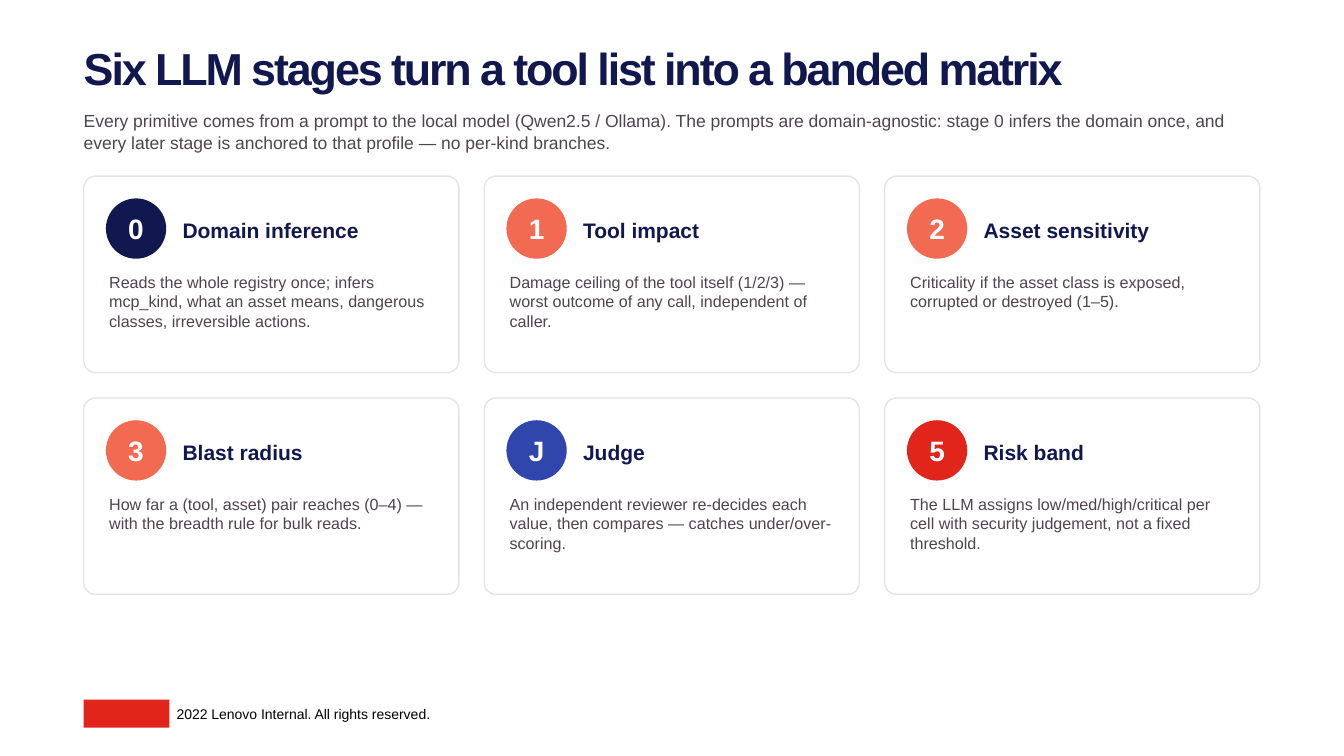
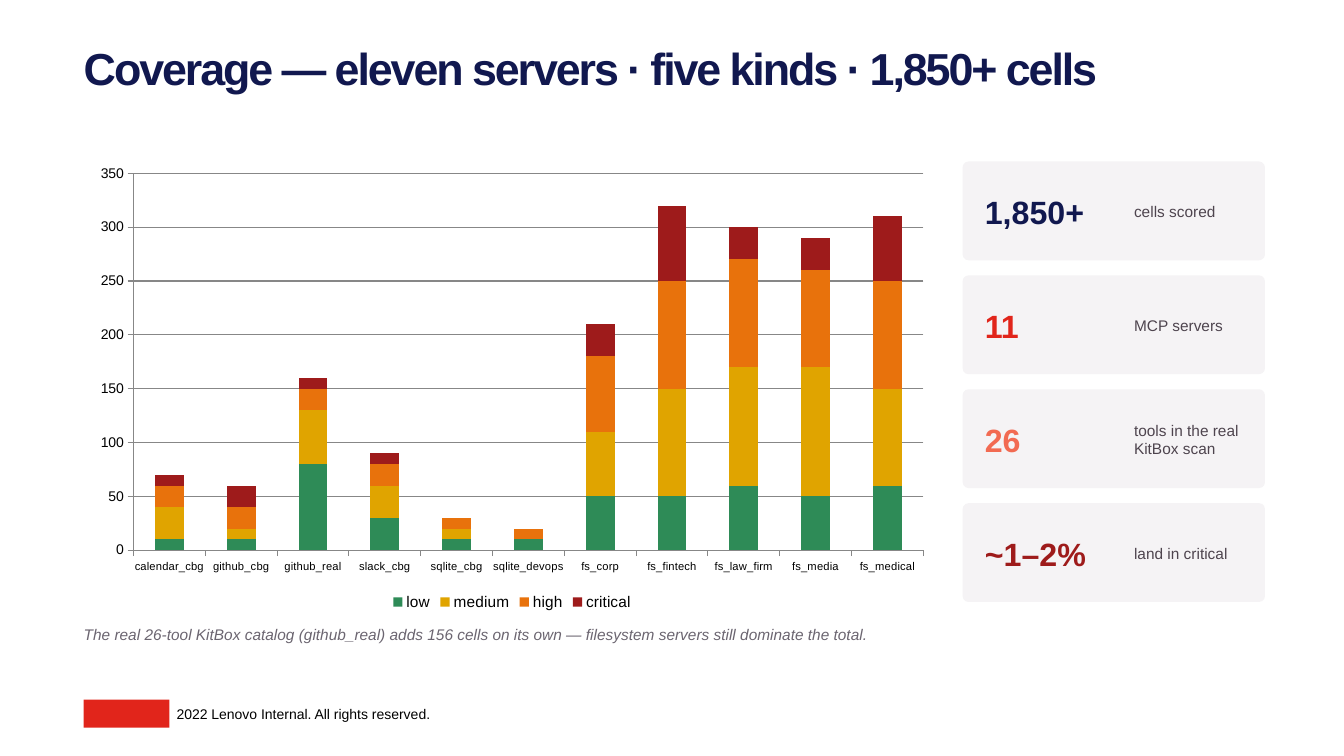
from pptx import Presentation
from pptx.chart.data import CategoryChartData as ChartData
from pptx.dml.color import RGBColor
from pptx.enum.chart import XL_CHART_TYPE as Kind, XL_LEGEND_POSITION as Side
from pptx.enum.chart import XL_TICK_MARK as Tick
from pptx.enum.shapes import MSO_SHAPE as Form
from pptx.enum.text import MSO_ANCHOR as Anchor, MSO_AUTO_SIZE as Fit, PP_ALIGN as Align
from pptx.util import Cm, Pt

# Shared look
FONT = "Arial"
NAVY, BLUE, RED, CORAL, MAROON = "11184F", "3046AD", "E1251B", "F26A52", "9E1B1B"
TEXT, MUTED, EDGE, PANEL = "4E444E", "6B6570", "E6E2EA", "F5F3F5"
WHITE, BLACK, GRID = "FFFFFF", "000000", "878787"
LEFT, WIDE = 2.11, 29.64

STAGES = [
    ("0", NAVY, "Domain inference",
     "Reads the whole registry once; infers mcp_kind, what an asset means, "
     "dangerous classes, irreversible actions."),
    ("1", CORAL, "Tool impact",
     "Damage ceiling of the tool itself (1/2/3) — worst outcome of any call, "
     "independent of caller."),
    ("2", CORAL, "Asset sensitivity",
     "Criticality if the asset class is exposed, corrupted or destroyed (1–5)."),
    ("3", CORAL, "Blast radius",
     "How far a (tool, asset) pair reaches (0–4) — with the breadth rule for bulk reads."),
    ("J", BLUE, "Judge",
     "An independent reviewer re-decides each value, then compares — catches "
     "under/over-scoring."),
    ("5", RED, "Risk band",
     "The LLM assigns low/med/high/critical per cell with security judgement, "
     "not a fixed threshold."),
]
SERVERS = ["calendar_cbg", "github_cbg", "github_real", "slack_cbg", "sqlite_cbg",
           "sqlite_devops", "fs_corp", "fs_fintech", "fs_law_firm", "fs_media", "fs_medical"]
BANDS = [
    ("low", "2E8B57", (10, 10, 80, 30, 10, 10, 50, 50, 60, 50, 60)),
    ("medium", "E0A400", (30, 10, 50, 30, 10, 0, 60, 100, 110, 120, 90)),
    ("high", "E8720C", (20, 20, 20, 20, 10, 10, 70, 100, 100, 90, 100)),
    ("critical", MAROON, (10, 20, 10, 10, 0, 0, 30, 70, 30, 30, 60)),
]
STATS = [
    ("1,850+", NAVY, "cells scored"),
    ("11", RED, "MCP servers"),
    ("26", CORAL, "tools in the real KitBox scan"),
    ("~1–2%", MAROON, "land in critical"),
]


def color(code):
    return RGBColor.from_string(code)


def write(shape, text, size=11, ink=TEXT, bold=False, italic=False,
          align=Align.LEFT, anchor=Anchor.TOP, lead=None, track=None):
    """Put formatted text in any shape."""
    frame = shape.text_frame
    frame.word_wrap, frame.auto_size = True, Fit.NONE
    frame.margin_left = frame.margin_right = frame.margin_top = frame.margin_bottom = 0
    frame.vertical_anchor = anchor
    para = frame.paragraphs[0]
    para.alignment = align
    if lead:
        para.line_spacing = lead
    run = para.add_run()
    run.text = text
    font = run.font
    font.name, font.size, font.bold, font.italic = FONT, Pt(size), bold, italic
    font.color.rgb = color(ink)
    if track:
        run._r.get_or_add_rPr().set("spc", str(int(track * 100)))


def label(slide, box, text, **style):
    write(slide.shapes.add_textbox(*map(Cm, box)), text, **style)


def block(slide, form, box, fill, line=None):
    shape = slide.shapes.add_shape(form, *map(Cm, box))
    shape.shadow.inherit = False
    shape.fill.solid()
    shape.fill.fore_color.rgb = color(fill)
    if line:
        shape.line.color.rgb = color(line)
        shape.line.width = Pt(1)
    else:
        shape.line.fill.background()
    if form == Form.ROUNDED_RECTANGLE:
        shape.adjustments[0] = 0.06
    return shape


def start(deck, title):
    """Add a slide with its title and footer."""
    slide = deck.slides.add_slide(deck.slide_layouts[5])
    head = slide.shapes.title
    head.left, head.top, head.width, head.height = map(Cm, (LEFT, 1.22, WIDE, 1.17))
    write(head, title, size=32, ink=NAVY, bold=True, anchor=Anchor.BOTTOM,
          lead=0.85, track=-1.5)
    block(slide, Form.RECTANGLE, (LEFT, 17.63, 2.16, 0.71), RED)
    label(slide, (4.45, 17.78, 11.43, 0.43), "2022 Lenovo Internal. All rights reserved.",
          size=10, ink=BLACK)
    return slide


def card(slide, box, mark, tint, name, text):
    """One stage: badge, name and description."""
    x, y, w, h = box
    block(slide, Form.ROUNDED_RECTANGLE, box, WHITE, EDGE)
    badge = block(slide, Form.OVAL, (x + 0.56, y + 0.56, 1.52, 1.52), tint)
    write(badge, mark, size=20, ink=WHITE, bold=True, align=Align.CENTER, anchor=Anchor.MIDDLE)
    label(slide, (x + 2.49, y + 0.61, w - 2.92, 1.52), name,
          size=15, ink=NAVY, bold=True, anchor=Anchor.MIDDLE)
    label(slide, (x + 0.64, y + 2.41, w - 1.27, h - 2.54), text, size=11.5, lead=1.02)


def stat(slide, box, value, tint, note):
    """One key figure with its note."""
    x, y, w, h = box
    block(slide, Form.ROUNDED_RECTANGLE, box, PANEL)
    label(slide, (x + 0.56, y + 0.25, 3.94, h - 0.46), value,
          size=23, ink=tint, bold=True, anchor=Anchor.MIDDLE)
    label(slide, (x + 4.32, y + 0.25, w - 4.52, h - 0.46), note, anchor=Anchor.MIDDLE)


def style(font, size):
    font.name, font.size = FONT, Pt(size)
    font.color.rgb = color(BLACK)


def graph(slide, box):
    """Stacked columns of cells per server."""
    data = ChartData()
    data.categories = SERVERS
    for name, _, cells in BANDS:
        data.add_series(name, cells)
    chart = slide.shapes.add_chart(Kind.COLUMN_STACKED, *map(Cm, box), data).chart
    style(chart.font, 18)
    chart.has_title = False
    chart.has_legend = True
    chart.legend.position = Side.BOTTOM
    chart.legend.include_in_layout = False
    style(chart.legend.font, 11)
    plot = chart.plots[0]
    plot.gap_width, plot.overlap, plot.vary_by_categories = 150, 100, False
    for series, (_, tint, _) in zip(plot.series, BANDS):
        series.format.fill.solid()
        series.format.fill.fore_color.rgb = color(tint)
    for axis, size in ((chart.category_axis, 8), (chart.value_axis, 10)):
        style(axis.tick_labels.font, size)
        axis.major_tick_mark, axis.minor_tick_mark = Tick.OUTSIDE, Tick.NONE
        axis.format.line.color.rgb = color(GRID)
    scale = chart.value_axis
    scale.minimum_scale, scale.maximum_scale, scale.major_unit = 0, 350, 50
    scale.has_major_gridlines = True
    scale.major_gridlines.format.line.color.rgb = color(GRID)


def stages(deck):
    slide = start(deck, "Six LLM stages turn a tool list into a banded matrix")
    label(slide, (LEFT, 2.74, WIDE, 1.4),
          "Every primitive comes from a prompt to the local model (Qwen2.5 / Ollama). "
          "The prompts are domain-agnostic: stage 0 infers the domain once, and every "
          "later stage is anchored to that profile — no per-kind branches.",
          size=12.5, lead=1.05)
    # Grid of three columns
    gap, high = 0.64, 4.95
    wide = (WIDE - 2 * gap) / 3
    for i, stage in enumerate(STAGES):
        row, col = divmod(i, 3)
        box = (LEFT + col * (wide + gap), 4.44 + row * (high + gap), wide, high)
        card(slide, box, *stage)


def coverage(deck):
    slide = start(deck, "Coverage — eleven servers · five kinds · 1,850+ cells")
    graph(slide, (LEFT, 3.94, 21.59, 11.56))
    # Column of key figures
    for i, item in enumerate(STATS):
        stat(slide, (24.26, 4.07 + i * 2.87, 7.62, 2.49), *item)
    label(slide, (LEFT, 15.75, 21.59, 1.02),
          "The real 26-tool KitBox catalog (github_real) adds 156 cells on its own — "
          "filesystem servers still dominate the total.", ink=MUTED, italic=True)


def main():
    deck = Presentation()
    deck.slide_width, deck.slide_height = Cm(33.87), Cm(19.05)
    stages(deck)
    coverage(deck)
    deck.save("out.pptx")


if __name__ == "__main__":
    main()
